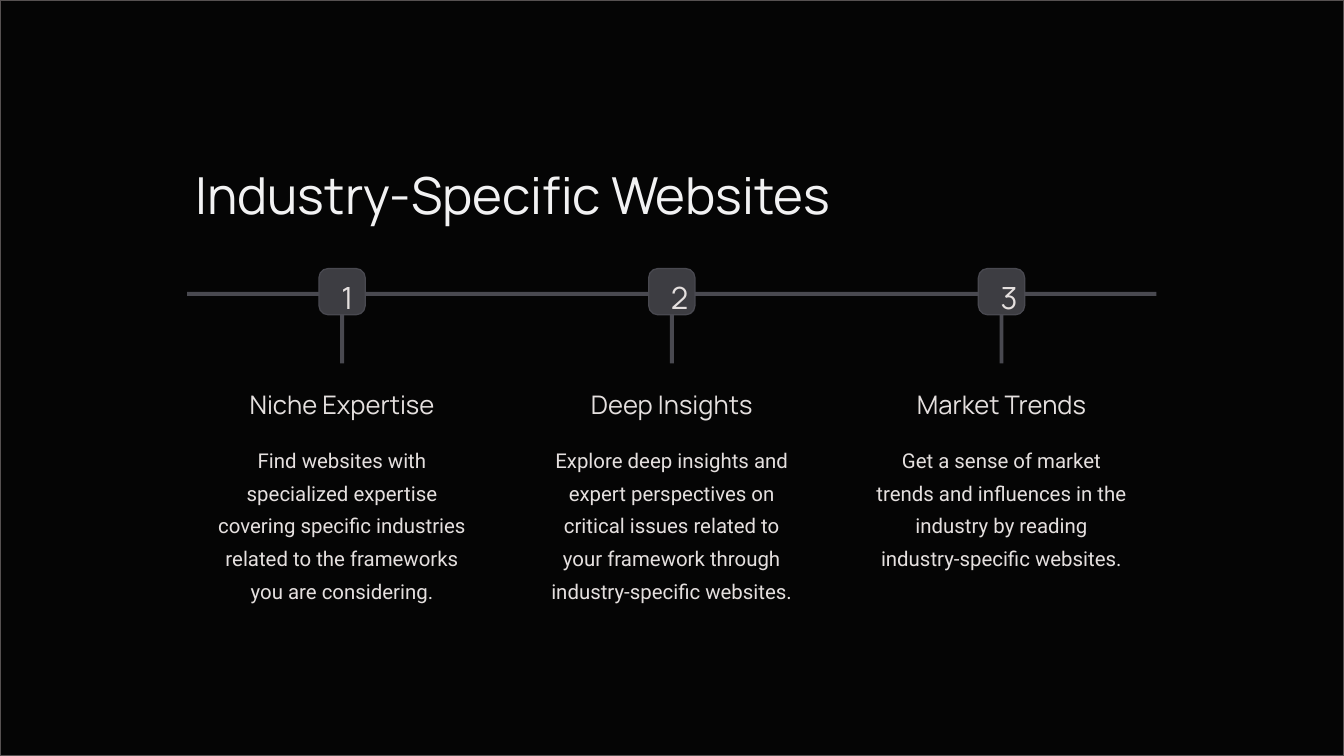
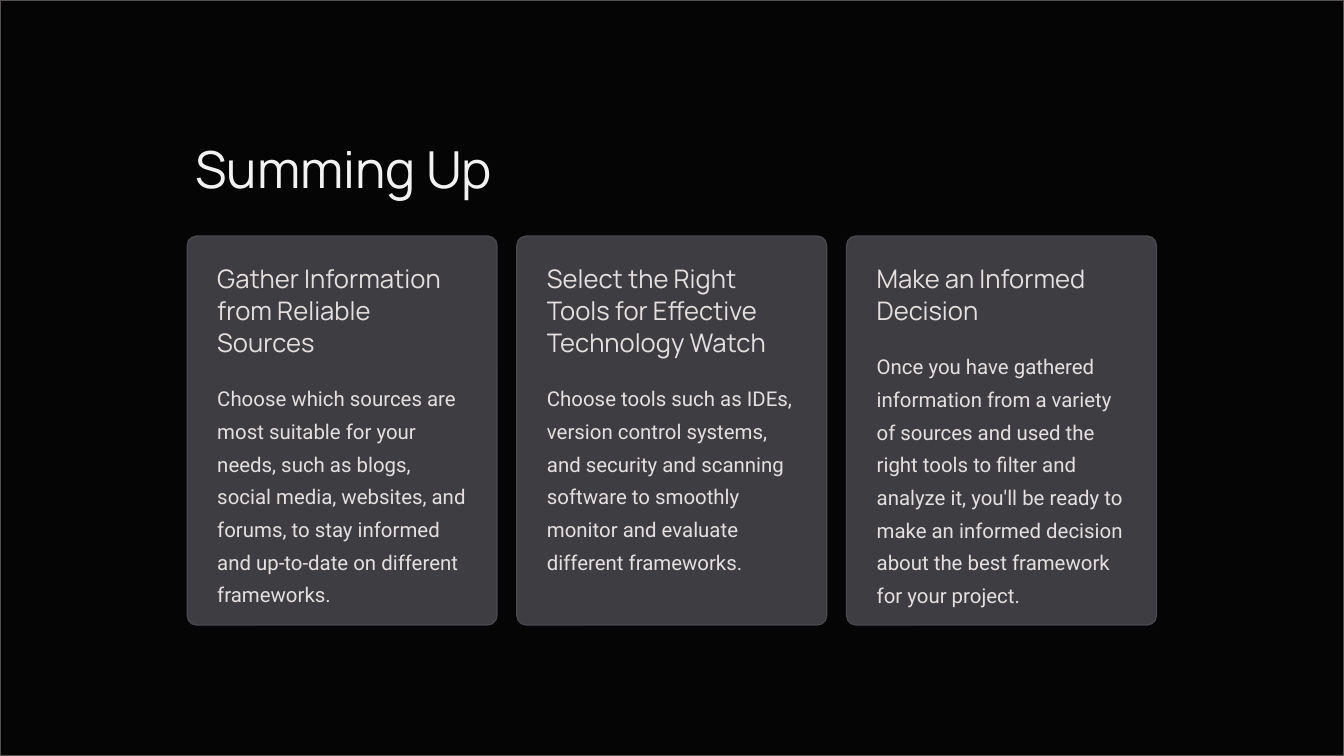
from pptx import Presentation
from pptx.dml.color import RGBColor
from pptx.enum.shapes import MSO_SHAPE
from pptx.enum.text import PP_ALIGN
from pptx.util import Cm, Pt

RECTANGLE = MSO_SHAPE.RECTANGLE
ROUNDED = MSO_SHAPE.ROUNDED_RECTANGLE
LEFT_ALIGN = PP_ALIGN.LEFT
CENTER = PP_ALIGN.CENTER

# Shared colours
BACKGROUND = "050505"
FRAME = "565151"
PANEL = "3D3D42"
RULE = "494950"
TITLE_COLOR = "F2F2F3"
TEXT_COLOR = "E5E0DF"

# Text styles: font, size, line spacing (points), colour
TITLE = ("Manrope", 43.7, 54.7, TITLE_COLOR)
NUMBER = ("Manrope", 26.2, 32.8, TEXT_COLOR)
HEADING = ("Manrope", 21.9, 27.3, TEXT_COLOR)
BODY = ("Roboto", 17.5, 28, TEXT_COLOR)

# Shared three-column grid, in centimetres
SLIDE_WIDTH, SLIDE_HEIGHT = 40.64, 22.86
MARGIN = 5.66
COLUMN_WIDTH = 9.37
COLUMN_GAP = 0.6
CONTENT_WIDTH = 3 * COLUMN_WIDTH + 2 * COLUMN_GAP
HEADING_LINE = 0.97
BODY_LINE = 0.99

# Heading, body text, body lines
TIMELINE_STEPS = [
    ("Niche Expertise",
     "Find websites with specialized expertise covering specific industries "
     "related to the frameworks you are considering.", 5),
    ("Deep Insights",
     "Explore deep insights and expert perspectives on critical issues related "
     "to your framework through industry-specific websites.", 5),
    ("Market Trends",
     "Get a sense of market trends and influences in the industry by reading "
     "industry-specific websites.", 4),
]

# Heading, heading lines, body text, body lines
SUMMARY_CARDS = [
    ("Gather Information from Reliable Sources", 3,
     "Choose which sources are most suitable for your needs, such as blogs, "
     "social media, websites, and forums, to stay informed and up-to-date on "
     "different frameworks.", 6),
    ("Select the Right Tools for Effective Technology Watch", 3,
     "Choose tools such as IDEs, version control systems, and security and "
     "scanning software to smoothly monitor and evaluate different "
     "frameworks.", 6),
    ("Make an Informed Decision", 2,
     "Once you have gathered information from a variety of sources and used "
     "the right tools to filter and analyze it, you'll be ready to make an "
     "informed decision about the best framework for your project.", 8),
]


def color(hex_value):
    return RGBColor.from_string(hex_value)


def column_left(index):
    return MARGIN + index * (COLUMN_WIDTH + COLUMN_GAP)


def add_box(slide, left, top, width, height, fill, line=None, radius=None):
    """Add a filled rectangle, rounded when a radius is given."""
    kind = RECTANGLE if radius is None else ROUNDED
    shape = slide.shapes.add_shape(kind, Cm(left), Cm(top), Cm(width), Cm(height))
    shape.shadow.inherit = False
    if radius is not None:
        shape.adjustments[0] = radius
    shape.fill.solid()
    shape.fill.fore_color.rgb = color(fill)
    if line is None:
        shape.line.fill.background()
    else:
        shape.line.color.rgb = color(line)
        shape.line.width = Pt(1.09)


def add_text(slide, text, left, top, width, height, style,
             align=LEFT_ALIGN, wrap=True):
    font_name, size, spacing, text_color = style
    box = slide.shapes.add_textbox(Cm(left), Cm(top), Cm(width), Cm(height))
    box.text_frame.word_wrap = wrap
    paragraph = box.text_frame.paragraphs[0]
    paragraph.text = text
    paragraph.alignment = align
    paragraph.line_spacing = Pt(spacing)
    paragraph.font.name = font_name
    paragraph.font.size = Pt(size)
    paragraph.font.color.rgb = color(text_color)


def add_centered_text(slide, text, center, top, width, height, style, wrap=False):
    add_text(slide, text, center - width / 2, top, width, height, style,
             CENTER, wrap)


def add_titled_slide(presentation, title, top, width):
    """Add a dark framed slide with its title."""
    slide = presentation.slides.add_slide(presentation.slide_layouts[6])
    add_box(slide, 0, 0, SLIDE_WIDTH, SLIDE_HEIGHT, BACKGROUND, FRAME)
    add_text(slide, title, MARGIN, top, width, 1.93, TITLE, wrap=False)
    return slide


def add_step(slide, index, heading, body, body_lines):
    """Add a numbered stop on the timeline with its text below."""
    center = column_left(index) + COLUMN_WIDTH / 2
    add_box(slide, center - 0.06, 8.83, 0.12, 2.16, RULE)
    add_box(slide, center - 0.7, 8.12, 1.4, 1.4, PANEL, RULE, 0.2)
    add_centered_text(slide, str(index + 1), center, 8.25, 0.55, 1.17, NUMBER)
    add_centered_text(slide, heading, center, 11.61, 6.17, HEADING_LINE, HEADING)
    add_centered_text(slide, body, center, 13.18, 8.13, body_lines * BODY_LINE,
                      BODY, wrap=True)


def add_card(slide, index, heading, heading_lines, body, body_lines):
    """Add a panel whose body follows the height of its heading."""
    left, top = column_left(index), 7.14
    padding = 0.66
    text_width = COLUMN_WIDTH - 2 * padding
    heading_height = heading_lines * HEADING_LINE
    heading_top = top + padding
    add_box(slide, left, top, COLUMN_WIDTH, 11.76, PANEL, RULE, 0.03)
    add_text(slide, heading, left + padding, heading_top, text_width,
             heading_height, HEADING)
    add_text(slide, body, left + padding, heading_top + heading_height + 0.6,
             text_width, body_lines * BODY_LINE, BODY)


def main():
    presentation = Presentation()
    presentation.slide_width = Cm(SLIDE_WIDTH)
    presentation.slide_height = Cm(SLIDE_HEIGHT)

    # Timeline
    slide = add_titled_slide(presentation, "Industry-Specific Websites", 4.75, 20.24)
    add_box(slide, MARGIN, 8.83, CONTENT_WIDTH, 0.12, RULE)
    for index, step in enumerate(TIMELINE_STEPS):
        add_step(slide, index, *step)

    # Summary cards
    slide = add_titled_slide(presentation, "Summing Up", 3.96, 12.34)
    for index, card in enumerate(SUMMARY_CARDS):
        add_card(slide, index, *card)

    presentation.save("out.pptx")


if __name__ == "__main__":
    main()
